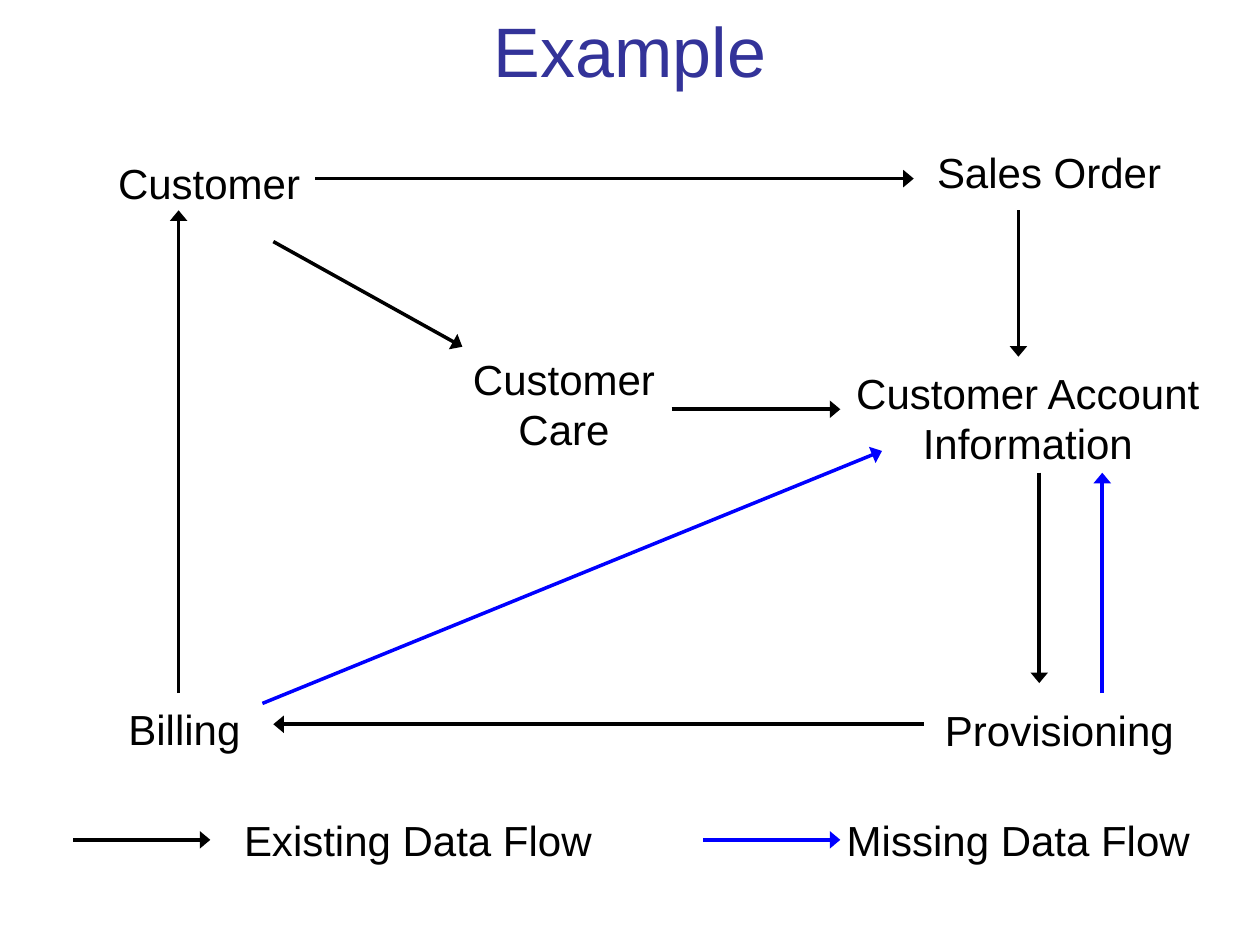
"""Builds a data flow slide with existing and missing flows between business areas."""
from lxml.etree import SubElement
from pptx import Presentation
from pptx.dml.color import RGBColor
from pptx.enum.shapes import MSO_CONNECTOR as Connector
from pptx.enum.text import MSO_ANCHOR as Anchor, MSO_AUTO_SIZE as AutoSize, PP_ALIGN as Align
from pptx.oxml.ns import qn
from pptx.util import Cm, Pt

BLACK, BLUE, INDIGO = "000000", "0000FF", "333399"

LABELS = [
    ("Customer", 2.13, 3.05, 4.2),
    ("Sales Order", 18.64, 2.82, 5.1),
    ("Billing", 2.34, 14.05, 2.8),
    ("Customer Account\nInformation", 16.97, 7.28, 7.5),
    ("Provisioning", 18.8, 14.07, 5.2),
    ("Customer\nCare", 9.27, 7, 4.2),
    ("Existing Data Flow", 4.67, 16.3, 7.6),
    ("Missing Data Flow", 16.82, 16.3, 7.5),
]

EXISTING_FLOWS = [
    ((3.6, 13.97), (3.6, 4.24)),
    ((6.35, 3.6), (18.42, 3.6)),
    ((13.54, 8.25), (16.94, 8.25)),
    ((18.62, 14.6), (5.51, 14.6)),
    ((20.95, 9.53), (20.95, 13.77)),
    ((20.53, 4.24), (20.53, 7.19)),
    ((5.51, 4.87), (9.32, 6.99)),
    ((1.48, 16.93), (4.24, 16.93)),
]

MISSING_FLOWS = [
    ((5.29, 14.18), (17.78, 9.09)),
    ((22.22, 13.97), (22.22, 9.53)),
    ((14.18, 16.93), (16.94, 16.93)),
]


def color(value):
    return RGBColor.from_string(value)


class FlowSlide:
    def __init__(self, slide, font="Arial", label_size=24, title_size=40, line_width=2):
        self.slide = slide
        self.font = font
        self.label_size = label_size
        self.title_size = title_size
        self.line_width = line_width

    def text(self, content, left, top, width, height, size, ink, align):
        shape = self.slide.shapes.add_textbox(Cm(left), Cm(top), Cm(width), Cm(height))
        text_frame = shape.text_frame
        text_frame.text = content
        for paragraph in text_frame.paragraphs:
            paragraph.alignment = align
            for run in paragraph.runs:
                run.font.name = self.font
                run.font.size = Pt(size)
                run.font.color.rgb = color(ink)
        return text_frame

    def title(self, content):
        text_frame = self.text(content, 1.27, 0, 22.86, 1.98, self.title_size, INDIGO, Align.CENTER)
        text_frame.word_wrap = True
        text_frame.vertical_anchor = Anchor.MIDDLE

    def label(self, content, left, top, width):
        several_lines = "\n" in content
        height = 2.29 if several_lines else 1.27
        align = Align.CENTER if several_lines else Align.LEFT
        text_frame = self.text(content, left, top, width, height, self.label_size, BLACK, align)
        text_frame.word_wrap = False
        text_frame.auto_size = AutoSize.SHAPE_TO_FIT_TEXT

    def arrow(self, start, end, ink):
        points = [Cm(value) for value in (*start, *end)]
        connector = self.slide.shapes.add_connector(Connector.STRAIGHT, *points)
        connector.line.color.rgb = color(ink)
        connector.line.width = Pt(self.line_width)
        properties = connector._element.spPr
        SubElement(properties.find(qn("a:ln")), qn("a:tailEnd"), type="triangle", w="lg", len="med")
        SubElement(properties, qn("a:effectLst"))


def main():
    presentation = Presentation()
    presentation.slide_width, presentation.slide_height = Cm(25.4), Cm(19.05)
    flow_slide = FlowSlide(presentation.slides.add_slide(presentation.slide_layouts[6]))
    flow_slide.title("Example")
    for label in LABELS:
        flow_slide.label(*label)
    for flows, ink in ((EXISTING_FLOWS, BLACK), (MISSING_FLOWS, BLUE)):
        for start, end in flows:
            flow_slide.arrow(start, end, ink)
    presentation.save("out.pptx")


if __name__ == "__main__":
    main()
